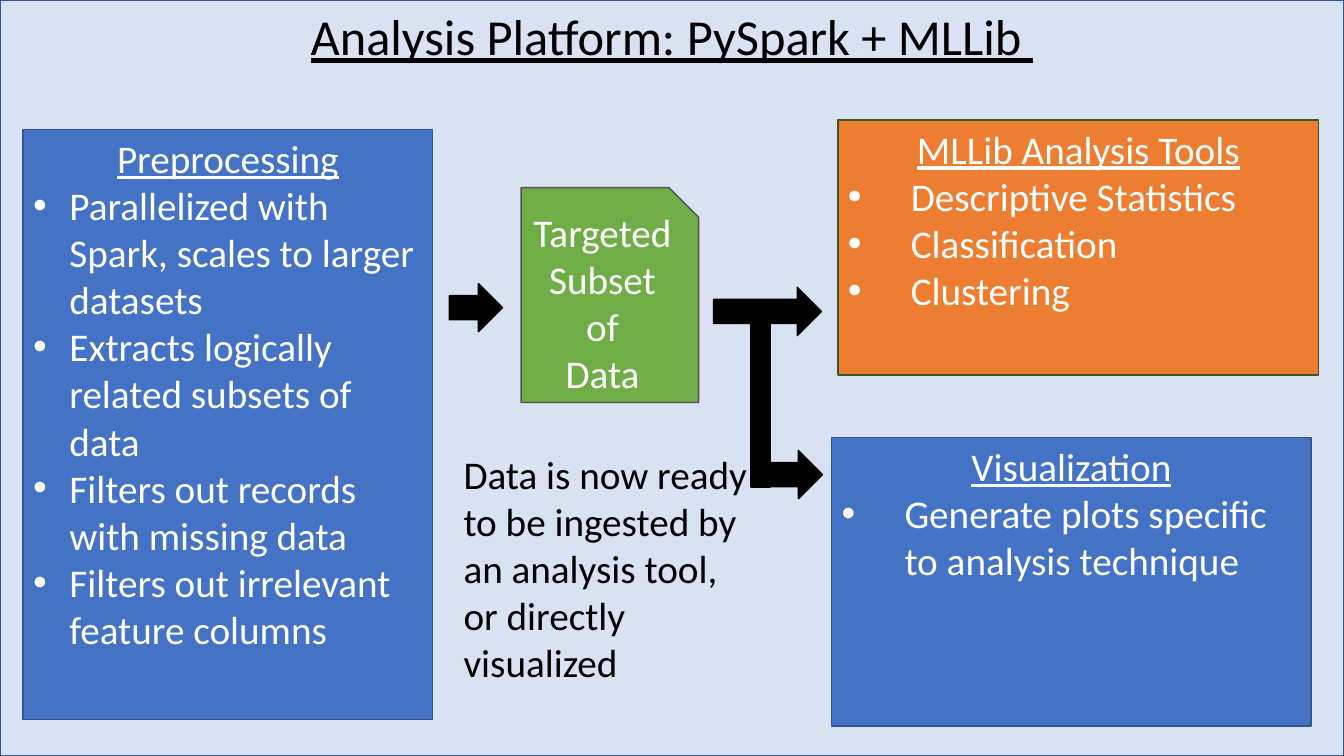
"""Build the slide on the analysis platform and its data flow."""
from dataclasses import dataclass

import lxml.etree
import pptx
import pptx.dml.color
import pptx.enum.shapes
import pptx.enum.text
import pptx.oxml.ns
import pptx.util

Pt = pptx.util.Pt
RGB = pptx.dml.color.RGBColor.from_string
Kind = pptx.enum.shapes.MSO_SHAPE
Anchor = pptx.enum.text.MSO_ANCHOR
Align = pptx.enum.text.PP_ALIGN
qn = pptx.oxml.ns.qn


@dataclass(frozen=True)
class Theme:
    font: str = "Calibri"
    title_size: int = 36
    body_size: int = 28
    black: str = "000000"
    white: str = "FFFFFF"
    blue: str = "4472C4"
    blue_edge: str = "325491"
    orange: str = "ED7D31"
    orange_edge: str = "385723"
    green: str = "70AD47"
    green_edge: str = "525252"


class Board:
    def __init__(self, slide, theme):
        self.slide = slide
        self.theme = theme

    def shape(self, kind, box, fill, edge, alpha=None):
        shape = self.slide.shapes.add_shape(kind, *map(Pt, box))
        shape.shadow.inherit = False
        shape.fill.solid()
        shape.fill.fore_color.rgb = RGB(fill)
        shape.line.color.rgb = RGB(edge)
        shape.line.width = Pt(1)
        if alpha is not None:
            color = shape.fill._xPr.find(".//" + qn("a:srgbClr"))
            lxml.etree.SubElement(color, qn("a:alpha"), val=str(alpha * 1000))
        return shape

    def words(self, paragraph, text, color, size=None, align=Align.LEFT, underline=None):
        paragraph.text = text
        paragraph.alignment = align
        font = paragraph.font
        font.name = self.theme.font
        font.size = Pt(size or self.theme.body_size)
        font.color.rgb = RGB(color)
        font.underline = underline

    def bullet(self, paragraph, text, indent):
        props = paragraph._p.get_or_add_pPr()
        props.set("marL", str(Pt(indent)))
        props.set("indent", str(-Pt(indent)))
        lxml.etree.SubElement(props, qn("a:buFont"), typeface="Arial")
        lxml.etree.SubElement(props, qn("a:buChar"), char="•")
        self.words(paragraph, text, self.theme.white)

    def backdrop(self, box, title):
        theme = self.theme
        frame = self.shape(Kind.RECTANGLE, box, theme.blue, theme.blue_edge, alpha=20).text_frame
        frame.vertical_anchor = Anchor.TOP
        self.words(frame.paragraphs[0], title, theme.black, theme.title_size, Align.CENTER, True)

    def panel(self, box, fill, edge, heading, points, indent):
        frame = self.shape(Kind.RECTANGLE, box, fill, edge).text_frame
        frame.word_wrap = True
        frame.vertical_anchor = Anchor.TOP
        self.words(frame.paragraphs[0], heading, self.theme.white, align=Align.CENTER, underline=True)
        for point in points:
            self.bullet(frame.add_paragraph(), point, indent)

    def document(self, box, text):
        theme = self.theme
        frame = self.shape(Kind.SNIP_1_RECTANGLE, box, theme.green, theme.green_edge).text_frame
        frame.word_wrap = True
        frame.vertical_anchor = Anchor.MIDDLE
        self.words(frame.paragraphs[0], text, theme.white, align=Align.CENTER)

    def caption(self, box, text):
        frame = self.slide.shapes.add_textbox(*map(Pt, box)).text_frame
        frame.word_wrap = True
        self.words(frame.paragraphs[0], text, self.theme.black)

    def flow(self, box, kind=Kind.RIGHT_ARROW):
        self.shape(kind, box, self.theme.black, self.theme.black)


WIDTH, HEIGHT = 960, 540
deck = pptx.Presentation()
deck.slide_width, deck.slide_height = Pt(WIDTH), Pt(HEIGHT)
theme = Theme()
board = Board(deck.slides.add_slide(deck.slide_layouts[6]), theme)

board.backdrop((0, 0, WIDTH, HEIGHT), "Analysis Platform: PySpark + MLLib ")
board.panel(
    (16.5, 92.5, 292.5, 421.5), theme.blue, theme.blue_edge, "Preprocessing",
    ["Parallelized with Spark, scales to larger datasets",
     "Extracts logically related subsets of data ",
     "Filters out records with missing data",
     "Filters out irrelevant feature columns"], indent=26)
board.panel(
    (598.5, 85.75, 343.5, 182), theme.orange, theme.orange_edge, "MLLib Analysis Tools",
    ["Descriptive Statistics", "Classification", "Clustering "], indent=45)
board.panel(
    (594, 312.5, 342.5, 206), theme.blue, theme.blue_edge, "Visualization",
    ["Generate plots specific to analysis technique"], indent=45)
board.document((372.25, 134, 126.75, 153.5), "Targeted Subset of\vData")
board.flow((321, 202.5, 38, 34.5))
board.caption(
    (324, 318.25, 223, 177),
    "Data is now ready to be ingested by an analysis tool, or directly visualized")
board.flow((509.75, 205.25, 77, 34.5))
board.flow((539.5, 321.75, 48, 34.5))
board.flow((536.5, 214, 13.5, 134), Kind.RECTANGLE)

deck.save("out.pptx")
